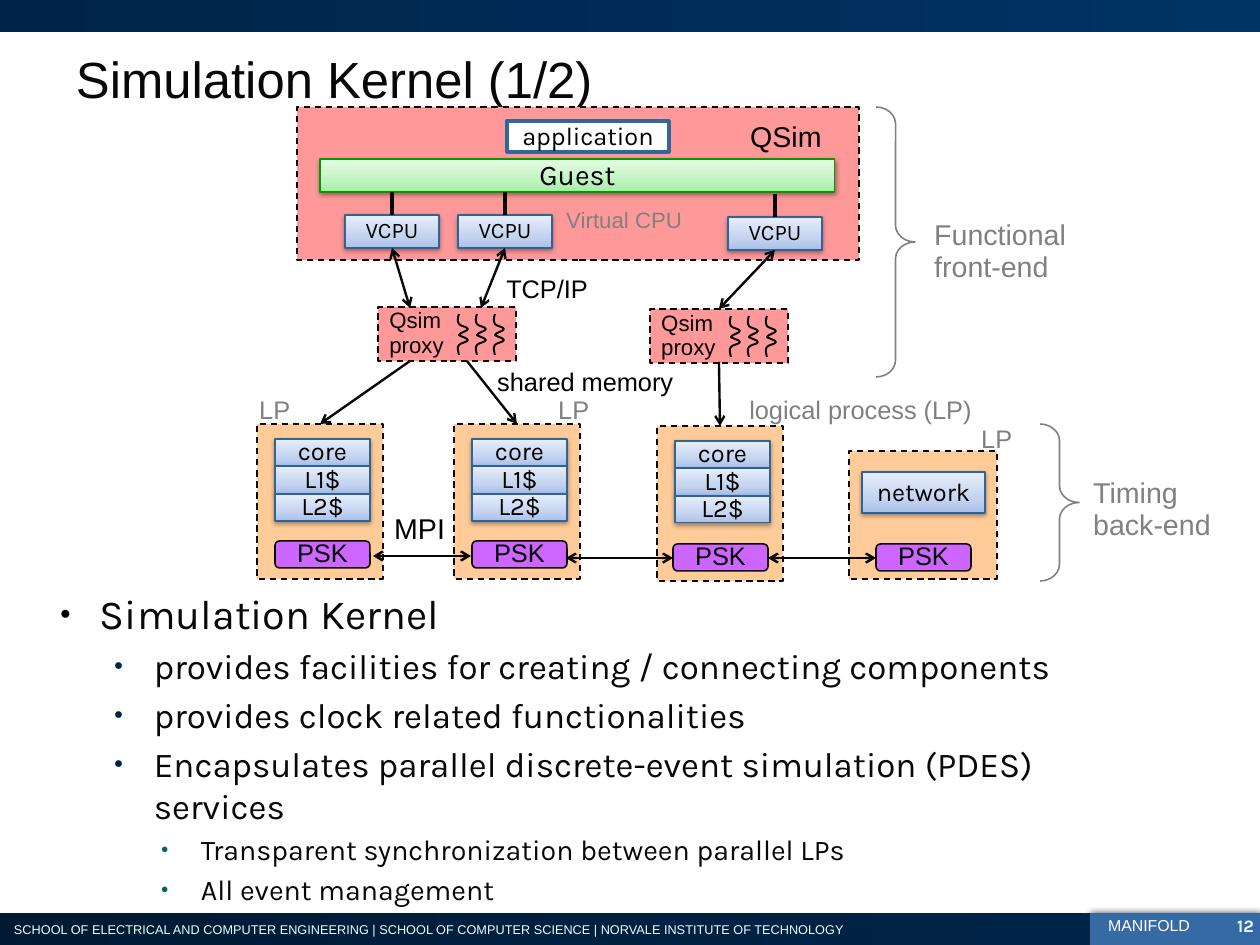
from lxml import etree
from pptx import Presentation
from pptx import util as u
from pptx.dml import color
from pptx.enum import dml, shapes, text
from pptx.oxml import ns

PX = 8000  # EMU per pixel
BLACK, INK, GREY, WHITE, PALE = "000000", "080808", "808080", "FFFFFF", "E5FFFF"
ROUND, BRACE = shapes.MSO_SHAPE.ROUNDED_RECTANGLE, shapes.MSO_SHAPE.RIGHT_BRACE
LEFT, CENTER, RIGHT = text.PP_ALIGN.LEFT, text.PP_ALIGN.CENTER, text.PP_ALIGN.RIGHT
MIDDLE = text.MSO_ANCHOR.MIDDLE

# ---- Looks: fill is a colour or gradient stops, shadow is (alpha %, blur, distance, angle)
SOFT = (38, 3.1, 1.6, 90)
PINK = dict(fill="FF9999", line=INK, width=1, dash=True)
ORANGE = dict(PINK, fill="FFCC99")
BLUE = dict(fill=[(0, "A9C0E9"), (35, "C4D3EF"), (100, "E8EEFA")], angle=90,
            line="2F6498", width=0.75, shadow=SOFT)
GREEN = dict(fill=[(0, "A3EFA3"), (35, "C0F3C0"), (100, "E6FBE6")], angle=90,
             line="009B00", width=0.75, shadow=SOFT)
OUTLINED = dict(fill=WHITE, line="336699", width=2)
PURPLE = dict(fill="CC66FF", line=INK, width=1)
NAVY_DARK = dict(fill=[(0, "001A34"), (100, "002448")])
NAVY = dict(fill=[(0, "002448"), (100, "003366")])
TAB = dict(fill="366AA4", shadow=(75, 5, 1, 0))
BRACKET = dict(line=GREY, width=1)
WIDE = dict(margin_left=13 * PX, margin_right=13 * PX)  # frame margins

# ---- Content: pixels, left, top, width, height
BARS = [((1089, 913, 171, 32), TAB), ((0, 913, 1090, 32), NAVY_DARK),
        ((0, 0, 1260, 32), NAVY)]
QSIM = (297, 107, 562, 153)
VCPUS = [(345, 215), (458, 215), (728, 217)]
PROXIES = [(378, 307), (650, 309)]
LPS = [(257, 424), (454, 424), (657, 426)]
CACHES = ["core", "L1$", "L2$"]
NETWORK_LP = (849, 451, 148, 128)
PSKS = [(275, 541), (472, 541), (673, 544), (876, 544)]
BRACES = [(876, 107, 39, 270), (1040, 424, 39, 157)]
SQUIGGLE = [(1, 0), (0, 3), (-1, 7), (1, 10), (2, 12), (10, 13), (10, 15),
            (10, 17), (1, 19), (1, 21), (1, 22), (10, 24), (10, 26),
            (10, 28), (2, 29), (1, 31), (-1, 33), (0, 37), (1, 41)]
TWO_WAY = [(392, 248, 410, 308), (505, 248, 481, 308), (775, 250, 719, 309),
           (768, 558, 876, 558), (566, 558, 673, 558), (373, 556, 471, 556)]
ONE_WAY = [(410, 361, 320, 424), (467, 361, 517, 424), (719, 362, 720, 426)]
LABELS = [  # box, text, size, colour
    ((555, 203, 139, 30), "Virtual CPU", 14, GREY),
    ((383, 508, 74, 35), "MPI", 18, BLACK),
    ((738, 391, 248, 33), "logical process (LP)", 16, GREY),
    ((970, 420, 55, 33), "LP", 16, GREY),
    ((248, 391, 55, 33), "LP", 16, GREY),
    ((547, 391, 55, 33), "LP", 16, GREY),
    ((923, 214, 157, 62), "Functional\nfront-end", 18, GREY),
    ((1082, 472, 142, 62), "Timing\nback-end", 18, GREY),
    ((495, 270, 105, 33), "TCP/IP", 16, BLACK),
    ((486, 363, 201, 33), "shared memory", 16, BLACK),
    ((739, 116, 95, 35), "QSim", 18, BLACK),
    ((1097, 912, 106, 30), "MANIFOLD", 10, WHITE)]
FOOTER = ("SCHOOL OF ELECTRICAL AND COMPUTER ENGINEERING | SCHOOL OF COMPUTER "
          "SCIENCE | NORVALE INSTITUTE OF TECHNOLOGY")
LEVELS = [(54, 26, BLACK), (108, 22, "002448"), (155, 18, "006666")]  # indent, size, bullet
BULLETS = [(0, "Simulation Kernel"),
           (1, "provides facilities for creating / connecting components"),
           (1, "provides clock related functionalities"),
           (1, "Encapsulates parallel discrete-event simulation (PDES) services"),
           (2, "Transparent synchronization between parallel LPs"),
           (2, "All event management")]

prs = Presentation()
prs.slide_width, prs.slide_height = 1260 * PX, 945 * PX
s = prs.slides.add_slide(prs.slide_layouts[6])


# ---- Helpers
def emu(*lengths):
    return [round(n * PX) for n in lengths]


def rgb(value):
    return color.RGBColor.from_string(value)


def sub(parent, tag, **attrs):
    return etree.SubElement(parent, ns.qn(tag), {k: str(v) for k, v in attrs.items()})


def set_line(line, value, width):
    line.color.rgb, line.width = rgb(value), u.Pt(width)


def write(sp, content, size, value=BLACK, font="Arial", align=LEFT, spacing=0.93,
          bold=None, **frame):
    tf = sp.text_frame
    for name, setting in frame.items():
        setattr(tf, name, setting)
    for i, words in enumerate(content.split("\n")):
        p = tf.paragraphs[0] if i == 0 else tf.add_paragraph()
        p.alignment, p.line_spacing = align, spacing
        r = p.add_run()
        r.text = words
        for name, setting in dict(size=u.Pt(size), name=font, bold=bold).items():
            setattr(r.font, name, setting)
        r.font.color.rgb = rgb(value)
    return tf


def label(box, content, size, value=BLACK, **fmt):
    return write(s.shapes.add_textbox(*emu(*box)), content, size, value,
                 **dict(dict(word_wrap=False), **fmt))


def style(sp, fill=None, angle=0, line=None, width=1, dash=False, shadow=None):
    if isinstance(fill, list):
        sp.fill.gradient()
        sp.fill.gradient_angle = angle
        stops = next(sp._element.iter(ns.qn("a:gsLst")))
        stops.clear()
        for pos, value in fill:
            sub(sub(stops, "a:gs", pos=pos * 1000), "a:srgbClr", val=value)
    elif fill:
        sp.fill.solid()
        sp.fill.fore_color.rgb = rgb(fill)
    else:
        sp.fill.background()
    if line:
        set_line(sp.line, line, width)
        if dash:
            sp.line.dash_style = dml.MSO_LINE.DASH
    else:
        sp.line.fill.background()
    sp.shadow.inherit = False
    if shadow:
        alpha, blur, dist, turn = shadow
        effects = sp._element.spPr.find(ns.qn("a:effectLst"))
        outer = sub(effects, "a:outerShdw", blurRad=u.Pt(blur), dist=u.Pt(dist),
                    dir=turn * 60000, rotWithShape=0)
        sub(sub(outer, "a:srgbClr", val=BLACK), "a:alpha", val=alpha * 1000)


def block(box, look, content="", size=16, font="Karla", align=CENTER,
          kind=shapes.MSO_SHAPE.RECTANGLE):
    sp = s.shapes.add_shape(kind, *emu(*box))
    style(sp, **look)
    if content:
        write(sp, content, size, font=font, align=align, vertical_anchor=MIDDLE)
    return sp


def connect(ends, width, *arrows):
    c = s.shapes.add_connector(shapes.MSO_CONNECTOR.STRAIGHT, *emu(*ends))
    set_line(c.line, INK, width)
    for end in arrows:
        sub(c.line._get_or_add_ln(), end, type="arrow")
    sub(c._element.spPr, "a:effectLst")


def squiggle(x, y):
    pts = [emu(x + px, y + py) for px, py in SQUIGGLE]
    builder = s.shapes.build_freeform(*pts[0])
    builder.add_line_segments(pts[1:], close=False)
    sp = builder.convert_to_shape()
    # Every three points become one Bezier curve
    lines = list(sp._element.iter(ns.qn("a:lnTo")))
    outline = lines[0].getparent()
    for i in range(0, len(lines), 3):
        curve = sub(outline, "a:cubicBezTo")
        for ln in lines[i:i + 3]:
            curve.append(ln[0])
            outline.remove(ln)
    style(sp, fill="FF9999", line=INK, width=1.25)


# ---- Bars, title and bullets
for box, look in BARS:
    block(box, look)
label((1, 916, 861, 29), FOOTER, 8, PALE, spacing=None, **WIDE)
label((63, 43, 1134, 71), "Simulation Kernel (1/2)", 32, INK, spacing=None,
      word_wrap=True, vertical_anchor=MIDDLE, **WIDE)
tf = s.shapes.add_textbox(*emu(33, 581, 1134, 299)).text_frame
for name, setting in dict(WIDE, word_wrap=True, margin_top=7 * PX).items():
    setattr(tf, name, setting)
for i, (level, words) in enumerate(BULLETS):
    indent, size, dot = LEVELS[level]
    p = tf.paragraphs[0] if i == 0 else tf.add_paragraph()
    p.level, p.space_before = level, u.Pt(size * 0.2)
    r = p.add_run()
    r.text, r.font.size, r.font.name = words, u.Pt(size), "Karla"
    r.font.color.rgb = rgb(INK)
    pPr = p._p.get_or_add_pPr()
    pPr.set("marL", str(indent * PX))
    pPr.set("indent", str(-40 * PX))
    sub(sub(pPr, "a:buClr"), "a:srgbClr", val=dot)
    sub(pPr, "a:buSzPct", val=45000)
    sub(pPr, "a:buFont", typeface="Arial")
    sub(pPr, "a:buChar", char="●")

# ---- Functional front-end
block(QSIM, PINK)
block((507, 121, 162, 31), OUTLINED, "application")
block((320, 159, 515, 33), GREEN, "Guest", 18)
for x, y in VCPUS:
    block((x, y, 94, 33), BLUE, "VCPU", 14)
    connect((x + 47, y - 23, x + 47, y), 3)
for x, y in PROXIES:
    block((x, y, 138, 54), PINK, "Qsim\nproxy", 14, "Arial", LEFT)
    for i in range(3):
        squiggle(x + 80 + 18 * i, y + 7)

# ---- Timing back-end
for x, y in LPS:
    block((x, y, 126, 155), ORANGE)
    for i, name in enumerate(CACHES):
        block((x + 18, y + 15 + 27.5 * i, 95, 27), BLUE, name)
block(NETWORK_LP, ORANGE)
block((862, 472, 123, 41), BLUE, "network")
for x, y in PSKS:
    block((x, y, 95, 27), PURPLE, "PSK", font="Arial", kind=ROUND)

# ---- Arrows, braces and labels
for ends in TWO_WAY:
    connect(ends, 1.5, "a:headEnd", "a:tailEnd")
for ends in ONE_WAY:
    connect(ends, 1.5, "a:tailEnd")
for box in BRACES:
    block(box, BRACKET, kind=BRACE).adjustments[0] = 0.43
for entry in LABELS:
    label(*entry)
label((1205, 909, 49, 30), "12", 11, PALE, font="Karla", align=RIGHT, spacing=None,
      bold=True, word_wrap=True, margin_left=0, margin_right=0)

prs.save("out.pptx")
